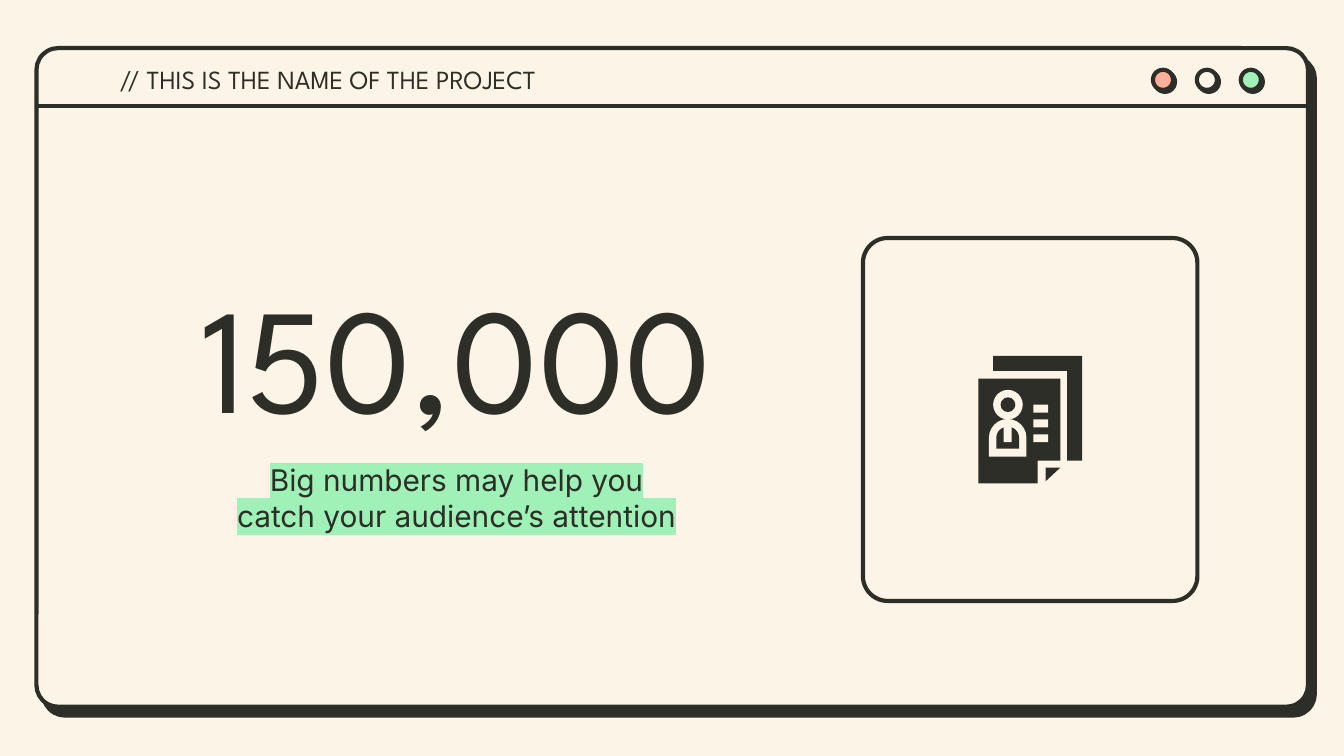
"""Build a big-number slide framed as an application window."""
import lxml.etree
import pptx
import pptx.dml.color
import pptx.enum.shapes
import pptx.enum.text
import pptx.oxml.ns
import pptx.util

Cm = pptx.util.Cm
Pt = pptx.util.Pt
SHAPE = pptx.enum.shapes.MSO_SHAPE
ALIGN = pptx.enum.text.PP_ALIGN
qn = pptx.oxml.ns.qn


def color(value):
    return pptx.dml.color.RGBColor.from_string(value)


class SlidePainter:
    INK = "2D2E27"
    CREAM = "FCF4E6"
    CORAL = "FFB09C"
    MINT = "9FF1B7"
    DISPLAY = "League Spartan"
    BODY = "Inter"
    STROKE = Pt(2.25)

    def __init__(self, slide):
        self.slide = slide
        slide.background.fill.solid()
        slide.background.fill.fore_color.rgb = color(self.CREAM)

    def paint(self, shape, fill, outlined):
        shape.shadow.inherit = False
        if fill:
            shape.fill.solid()
            shape.fill.fore_color.rgb = color(fill)
        else:
            shape.fill.background()
        if outlined:
            shape.line.color.rgb = color(self.INK)
            shape.line.width = self.STROKE
        else:
            shape.line.fill.background()

    def shape(self, kind, left, top, width, height, fill=None,
              outlined=False, rounding=None, shadow=None):
        shape = self.slide.shapes.add_shape(
            kind, Cm(left), Cm(top), Cm(width), Cm(height))
        if rounding is not None:
            shape.adjustments[0] = rounding
        self.paint(shape, fill, outlined)
        if shadow:
            self.drop_shadow(shape, *shadow)

    def drop_shadow(self, shape, distance, angle):
        effects = shape._element.spPr.find(qn("a:effectLst"))
        outer = lxml.etree.SubElement(
            effects, qn("a:outerShdw"), blurRad="0", dist=str(Pt(distance)),
            dir=str(angle * 60000), algn="bl", rotWithShape="0")
        lxml.etree.SubElement(outer, qn("a:srgbClr"), val=self.INK)

    def line(self, left, top, right, bottom):
        line = self.slide.shapes.add_connector(
            pptx.enum.shapes.MSO_CONNECTOR.STRAIGHT,
            Cm(left), Cm(top), Cm(right), Cm(bottom))
        line.line.color.rgb = color(self.INK)
        line.line.width = self.STROKE
        lxml.etree.SubElement(line._element.spPr, qn("a:effectLst"))

    def polygon(self, *points):
        first, *rest = [(Cm(x), Cm(y)) for x, y in points]
        builder = self.slide.shapes.build_freeform(*first)
        builder.add_line_segments(rest, close=True)
        self.paint(builder.convert_to_shape(), self.INK, False)

    def fill_text(self, box, text, size, font, align, highlight=None, after=0):
        frame = box.text_frame
        frame.word_wrap = True
        frame.auto_size = pptx.enum.text.MSO_AUTO_SIZE.NONE
        frame.vertical_anchor = pptx.enum.text.MSO_ANCHOR.MIDDLE
        frame.margin_left = frame.margin_right = Cm(0.25)
        frame.margin_top = frame.margin_bottom = Cm(0.25)
        para = frame.paragraphs[0]
        para.alignment = align
        para.space_after = Pt(after)
        span = para.add_run()
        span.text = text
        span.font.size = Pt(size)
        span.font.color.rgb = color(self.INK)
        span.font.name = font
        if highlight:
            marker = lxml.etree.Element(qn("a:highlight"))
            lxml.etree.SubElement(marker, qn("a:srgbClr"), val=highlight)
            span.font._element.find(qn("a:solidFill")).addnext(marker)

    def text(self, left, top, width, height, *args, **style):
        box = self.slide.shapes.add_textbox(
            Cm(left), Cm(top), Cm(width), Cm(height))
        self.fill_text(box, *args, **style)

    def title(self, left, top, width, height, *args, **style):
        box = self.slide.shapes.title
        box.left, box.top = Cm(left), Cm(top)
        box.width, box.height = Cm(width), Cm(height)
        self.fill_text(box, *args, **style)
        box._element.getparent().append(box._element)

    def window(self):
        self.shape(SHAPE.ROUNDED_RECTANGLE, 0.69, 0.91, 24.03, 12.45,
                   self.CREAM, True, 0.033, (6, 52))
        self.line(0.69, 2, 24.7, 2)
        for index, fill in enumerate((self.CORAL, self.CREAM, self.MINT)):
            self.shape(SHAPE.OVAL, 21.79 + 0.83 * index, 1.32, 0.38, 0.38,
                       fill, True, shadow=(1.5, 45))

    def profile_icon(self):
        self.polygon((18.77, 6.73), (18.77, 7.01), (20.17, 7.01),
                     (20.17, 8.71), (20.45, 8.71), (20.45, 6.73))
        self.polygon((18.49, 7.16), (18.49, 9.14), (19.61, 9.14),
                     (19.61, 8.71), (20.04, 8.71), (20.04, 7.16))
        self.polygon((19.76, 8.84), (19.76, 9.1), (20.04, 8.84))
        torso = SHAPE.ROUND_2_SAME_RECTANGLE
        self.shape(torso, 18.69, 7.92, 0.71, 0.71, self.CREAM, rounding=0.5)
        self.shape(torso, 18.83, 8.07, 0.43, 0.41, self.INK, rounding=0.5)
        self.shape(SHAPE.RECTANGLE, 18.97, 8.05, 0.15, 0.31, self.CREAM)
        self.shape(SHAPE.OVAL, 18.77, 7.37, 0.56, 0.56, self.CREAM)
        self.shape(SHAPE.OVAL, 18.91, 7.51, 0.28, 0.28, self.INK)
        for index in range(3):
            self.shape(SHAPE.RECTANGLE, 19.53, 7.65 + 0.28 * index,
                       0.28, 0.15, self.CREAM)


def main():
    deck = pptx.Presentation()
    deck.slide_width, deck.slide_height = Cm(25.4), Cm(14.29)
    painter = SlidePainter(deck.slides.add_slide(deck.slide_layouts[5]))
    painter.window()
    painter.shape(SHAPE.ROUNDED_RECTANGLE, 16.31, 4.5, 6.32, 6.86,
                  outlined=True, rounding=0.074)
    painter.profile_icon()
    painter.title(2.01, 4.55, 13.26, 4.27, "150,000", 80,
                  painter.DISPLAY, ALIGN.CENTER)
    painter.text(4.06, 8.81, 9.14, 1.19,
                 "Big numbers may help you catch your audience’s attention",
                 16, painter.BODY, ALIGN.CENTER,
                 highlight=painter.MINT, after=12)
    painter.text(2.01, 1.04, 11.68, 0.91, "// THIS IS THE NAME OF THE PROJECT",
                 14, painter.DISPLAY, ALIGN.LEFT)
    deck.save("out.pptx")


if __name__ == "__main__":
    main()
